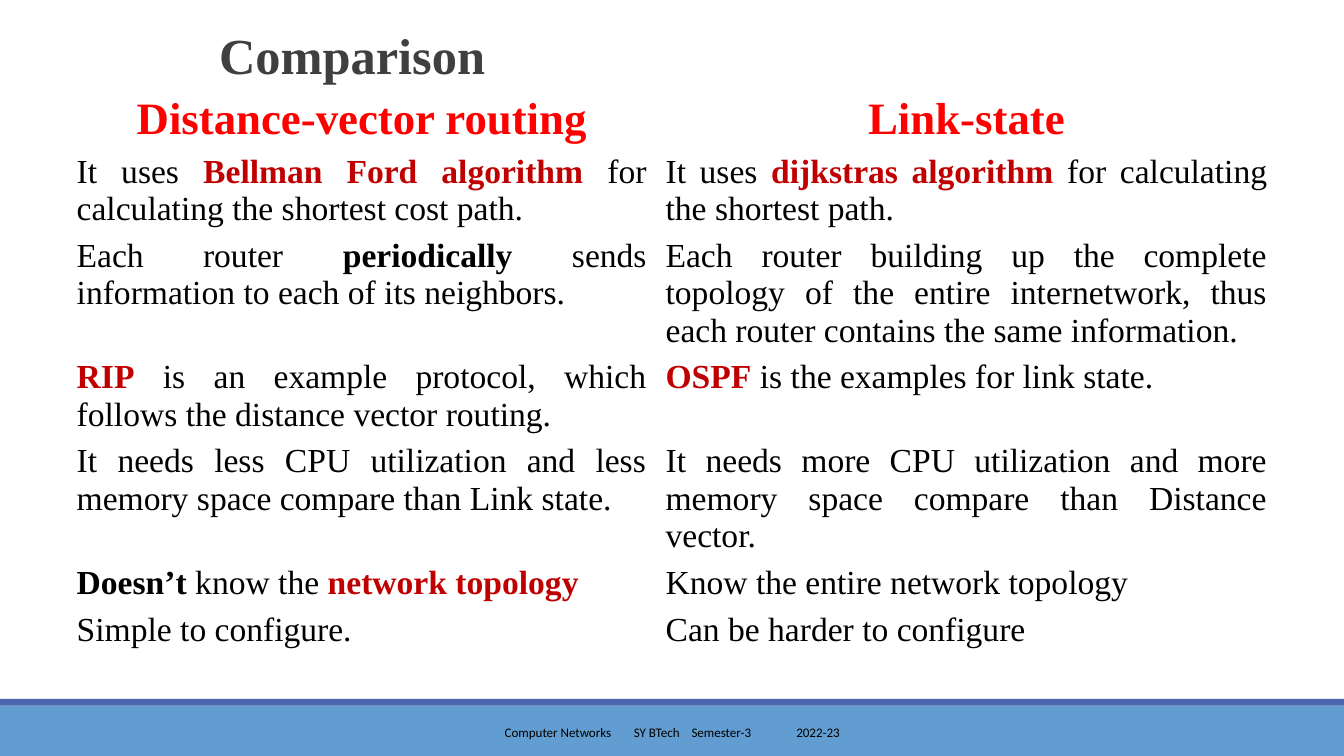
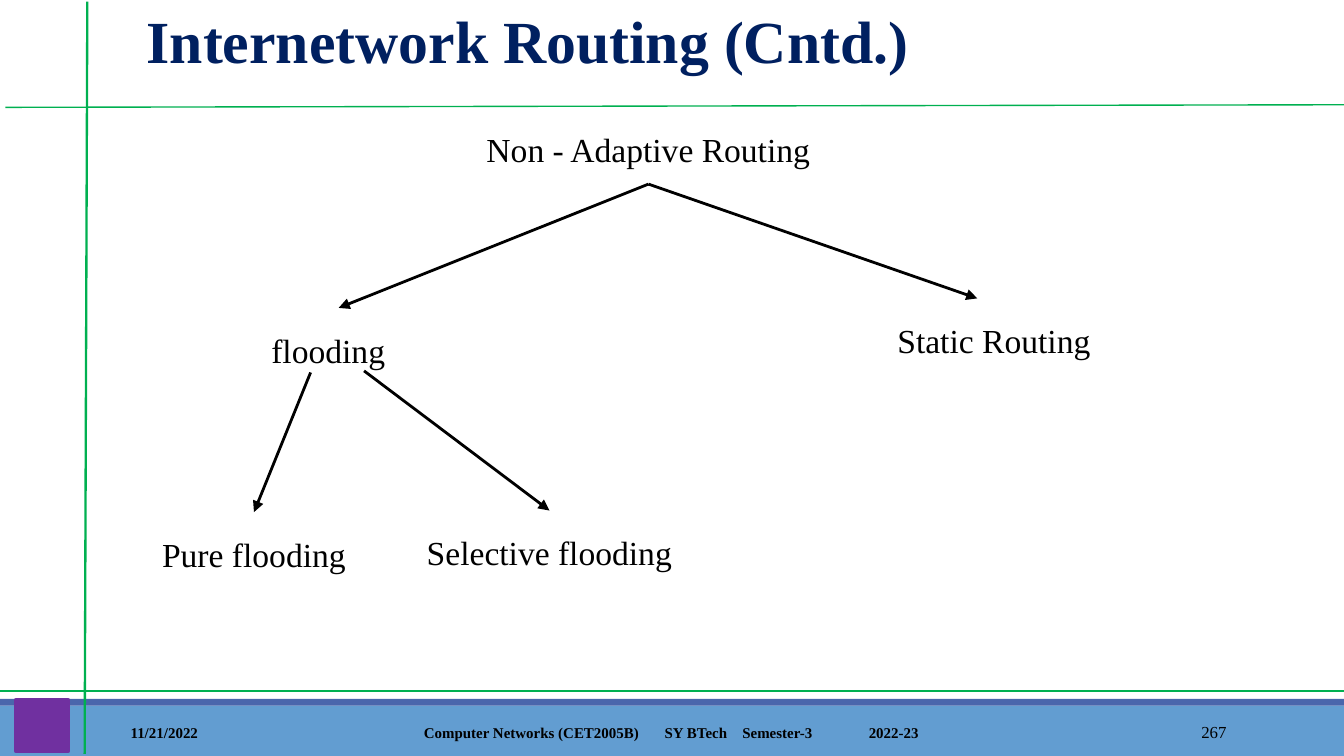
from dataclasses import dataclass

from lxml import etree
from pptx import Presentation
from pptx.dml.color import RGBColor
from pptx.enum.shapes import MSO_CONNECTOR, MSO_SHAPE
from pptx.enum.text import MSO_ANCHOR, MSO_AUTO_SIZE, PP_ALIGN
from pptx.oxml.ns import qn
from pptx.util import Cm, Pt

RECTANGLE, STRAIGHT = MSO_SHAPE.RECTANGLE, MSO_CONNECTOR.STRAIGHT
LEFT, CENTER, RIGHT, JUSTIFY = (PP_ALIGN.LEFT, PP_ALIGN.CENTER,
                                PP_ALIGN.RIGHT, PP_ALIGN.JUSTIFY)
TOP, MIDDLE, BOTTOM = MSO_ANCHOR.TOP, MSO_ANCHOR.MIDDLE, MSO_ANCHOR.BOTTOM
NO_FIT = MSO_AUTO_SIZE.NONE
TITLE_ONLY = 5
TOP_SIDE, BOTTOM_SIDE = 0, 2


@dataclass(frozen=True)
class Theme:
    serif: str = "Times New Roman"
    sans: str = "Calibri"
    black: str = "000000"
    white: str = "FFFFFF"
    gray: str = "3F3F3F"
    navy: str = "002060"
    red: str = "FF0000"
    key: str = "C00000"
    band: str = "629DD1"
    strip: str = "4A66AC"
    green: str = "00B050"
    purple: str = "7030A0"
    heading: int = 24
    body: int = 18


THEME = Theme()
WIDTH, HEIGHT = 25.4, 14.29
INSET = (0.18, 0.09)
BOX_INSET = (0.25, 0.13)

# Content: lengths in centimetres, places as left, top, width, height
FOOTER_PLACE = (7.67, 13.46, 10.06, 0.76)
DATE_PLACE = (2.29, 13.46, 5.16, 0.76)
NUMBER_PLACE = (20.62, 13.46, 2.74, 0.76)

COMPARISON = {
    "title": "Comparison",
    "title_place": (3.96, 0, 20.62, 1.7),
    "title_format": {"size": 27, "color": THEME.gray, "bold": True},
    "footer": ["Computer Networks", "SY BTech", "Semester-3", "2022-23"],
    "footer_start": 1.87,
    "footer_tabs": [2.44, 3.53, 5.51],
    "footer_format": {"size": 7, "name": THEME.sans},
}
INTERNETWORK = {
    "title": "Internetwork Routing (Cntd.)",
    "title_place": (2.59, 0.23, 22.66, 1.3),
    "title_format": {"size": 32, "color": THEME.navy, "bold": True},
    "footer": ["Computer Networks (CET2005B)", "SY BTech", "Semester-3", "2022-23"],
    "footer_start": 0.34,
    "footer_tabs": [4.55, 6.02, 8.41],
    "footer_format": {"size": 8, "bold": True},
}
DATE, NUMBER = "11/21/2022", "267"

# Runs are (text, style) pairs; styles are defined in RUN_STYLES
RUN_STYLES = {
    "head": {"size": THEME.heading, "color": THEME.red, "bold": True},
    "plain": {"size": THEME.body},
    "bold": {"size": THEME.body, "bold": True},
    "key": {"size": THEME.body, "color": THEME.key, "bold": True},
}
TABLE_ORIGIN = (1.27, 1.7)
COLUMN_WIDTHS = (11.13, 11.73)
# Each row: height, alignment, distance-vector runs, link-state runs
ROUTING_ROWS = [
    (1.09, CENTER, [("Distance-vector routing", "head")], [("Link-state", "head")]),
    (1.57, JUSTIFY,
     [("It uses ", "plain"), ("Bellman Ford algorithm ", "key"),
      ("for calculating the shortest cost path.", "plain")],
     [("It uses ", "plain"), ("dijkstras algorithm ", "key"),
      ("for calculating the shortest path.", "plain")]),
    (2.29, JUSTIFY,
     [("Each router ", "plain"), ("periodically", "bold"),
      (" sends information to each of its neighbors.", "plain")],
     [("Each router building up the complete topology of the entire "
       "internetwork, thus each router contains the same information.", "plain")]),
    (1.57, JUSTIFY,
     [("RIP", "key"),
      (" is an example protocol, which follows the distance vector routing.", "plain")],
     [("OSPF", "key"), (" is the examples for link state.", "plain")]),
    (1.57, JUSTIFY,
     [("It needs less CPU utilization and less memory space compare than "
       "Link state.", "plain")],
     [("It needs more CPU utilization and more memory space compare than "
       "Distance vector.", "plain")]),
    (0.89, LEFT,
     [("Doesn’t", "bold"), (" know the ", "plain"), ("network topology", "key")],
     [("Know the entire network topology", "plain")]),
    (0.89, LEFT,
     [("Simple to configure.", "plain")], [("Can be harder to configure", "plain")]),
]

ROUTING_TREE = {
    "Non - Adaptive Routing": (8.18, 2.16, 8.15, 1.32),
    "flooding": (2.13, 5.84, 8.15, 1.57),
    "Static Routing": (14.71, 5.82, 8.15, 1.22),
    "Pure flooding": (0.23, 9.68, 9.14, 1.57),
    "Selective flooding": (6.88, 9.65, 7.01, 1.57),
}
# An end is a node name (joined to its side) or a free point
BRANCHES = [
    ("Non - Adaptive Routing", (6.4, 5.82)),
    ("Non - Adaptive Routing", (18.47, 5.64)),
    ((5.87, 7.04), "Pure flooding"),
    ((6.88, 7.01), "Selective flooding"),
]
GREEN_RULES = [
    ((0.1, 2.03), (WIDTH, 1.98), 0.75),
    ((1.65, 0.03), (1.6, 14.25), 1.25),
    ((0, 13.06), (WIDTH, 13.06), 1.25),
]
PURPLE_SQUARE = (0.3, 13.23, 0.99, 0.97)


# Shared helpers
def cms(values):
    return [Cm(value) for value in values]


def rgb(color):
    return RGBColor.from_string(color)


def set_all(target, values):
    for attribute, value in values.items():
        setattr(target, attribute, value)


def add_run(paragraph, text, size=THEME.body, color=THEME.black, bold=False,
            name=THEME.serif):
    run = paragraph.add_run()
    run.text = text
    set_all(run.font, {"size": Pt(size), "bold": bold, "name": name})
    run.font.color.rgb = rgb(color)


def set_frame(frame, anchor, inset=INSET):
    side, edge = cms(inset)
    set_all(frame, {"word_wrap": True, "auto_size": NO_FIT, "vertical_anchor": anchor,
                    "margin_left": side, "margin_right": side,
                    "margin_top": edge, "margin_bottom": edge})
    return frame.paragraphs[0]


def add_label(slide, place, text, align=LEFT, start=None, tabs=(), **font):
    frame = slide.shapes.add_textbox(*cms(place)).text_frame
    paragraph = set_frame(frame, MIDDLE)
    paragraph.alignment = align
    if start is not None:
        frame.margin_left = Cm(start)
    if tabs:
        stops = etree.SubElement(paragraph._p.get_or_add_pPr(), qn("a:tabLst"))
        for position in tabs:
            etree.SubElement(stops, qn("a:tab"), pos=str(Cm(position)), algn="l")
    add_run(paragraph, text, **font)


def add_block(slide, place, fill, line=None, weight=0.75):
    block = slide.shapes.add_shape(RECTANGLE, *cms(place))
    block.shadow.inherit = False
    block.fill.solid()
    block.fill.fore_color.rgb = rgb(fill)
    if line:
        block.line.color.rgb = rgb(line)
        block.line.width = Pt(weight)
    else:
        block.line.fill.background()
    return block


def add_line(slide, start, end, color, weight, arrow=False):
    line = slide.shapes.add_connector(STRAIGHT, *cms(start + end))
    line.line.color.rgb = rgb(color)
    line.line.width = Pt(weight)
    if arrow:
        etree.SubElement(line.line._get_or_add_ln(), qn("a:tailEnd"), type="triangle")
    etree.SubElement(line._element.spPr, qn("a:effectLst"))
    return line


def start_slide(deck, content):
    slide = deck.slides.add_slide(deck.slide_layouts[TITLE_ONLY])
    add_block(slide, (0, 13.34, WIDTH, 0.95), THEME.band)
    add_block(slide, (0, 13.21, WIDTH, 0.13), THEME.strip)

    title = slide.shapes.title
    set_all(title, dict(zip(("left", "top", "width", "height"),
                            cms(content["title_place"]))))
    paragraph = set_frame(title.text_frame, BOTTOM)
    set_all(paragraph, {"alignment": LEFT, "line_spacing": 0.85})
    add_run(paragraph, content["title"], **content["title_format"])

    add_label(slide, FOOTER_PLACE, "\t".join(content["footer"]),
              start=content["footer_start"], tabs=content["footer_tabs"],
              **content["footer_format"])
    return slide


# Slides
def build_comparison(deck):
    slide = start_slide(deck, COMPARISON)
    size = (sum(COLUMN_WIDTHS), sum(row[0] for row in ROUTING_ROWS))
    routing = slide.shapes.add_table(len(ROUTING_ROWS), len(COLUMN_WIDTHS),
                                     *cms(TABLE_ORIGIN + size)).table
    set_all(routing, {"first_row": False, "horz_banding": False})
    for column, width in zip(routing.columns, COLUMN_WIDTHS):
        column.width = Cm(width)
    side, edge = cms(INSET)
    for row, (height, align, *entries) in zip(routing.rows, ROUTING_ROWS):
        row.height = Cm(height)
        for cell, runs in zip(row.cells, entries):
            cell.fill.background()
            set_all(cell, {"margin_left": side, "margin_right": side,
                           "margin_top": edge, "margin_bottom": edge,
                           "vertical_anchor": TOP})
            paragraph = cell.text_frame.paragraphs[0]
            paragraph.alignment = align
            for text, style in runs:
                add_run(paragraph, text, **RUN_STYLES[style])


def build_internetwork(deck):
    slide = start_slide(deck, INTERNETWORK)
    add_label(slide, DATE_PLACE, DATE, size=8, bold=True)
    add_label(slide, NUMBER_PLACE, NUMBER, RIGHT, size=9)

    # Routing tree
    nodes = {}
    for name, place in ROUTING_TREE.items():
        nodes[name] = add_block(slide, place, THEME.white, THEME.white)
        paragraph = set_frame(nodes[name].text_frame, MIDDLE, BOX_INSET)
        paragraph.alignment = CENTER
        add_run(paragraph, name)
    for start, end in BRANCHES:
        free = [(0, 0) if point in nodes else point for point in (start, end)]
        branch = add_line(slide, *free, THEME.black, 1.5, arrow=True)
        if start in nodes:
            branch.begin_connect(nodes[start], BOTTOM_SIDE)
        if end in nodes:
            branch.end_connect(nodes[end], TOP_SIDE)

    # Green rules and corner square
    add_block(slide, PURPLE_SQUARE, THEME.purple, THEME.purple, 2)
    for start, end, weight in GREEN_RULES:
        add_line(slide, start, end, THEME.green, weight)


def main():
    deck = Presentation()
    deck.slide_width, deck.slide_height = Cm(WIDTH), Cm(HEIGHT)
    build_comparison(deck)
    build_internetwork(deck)
    deck.save("out.pptx")


if __name__ == "__main__":
    main()
